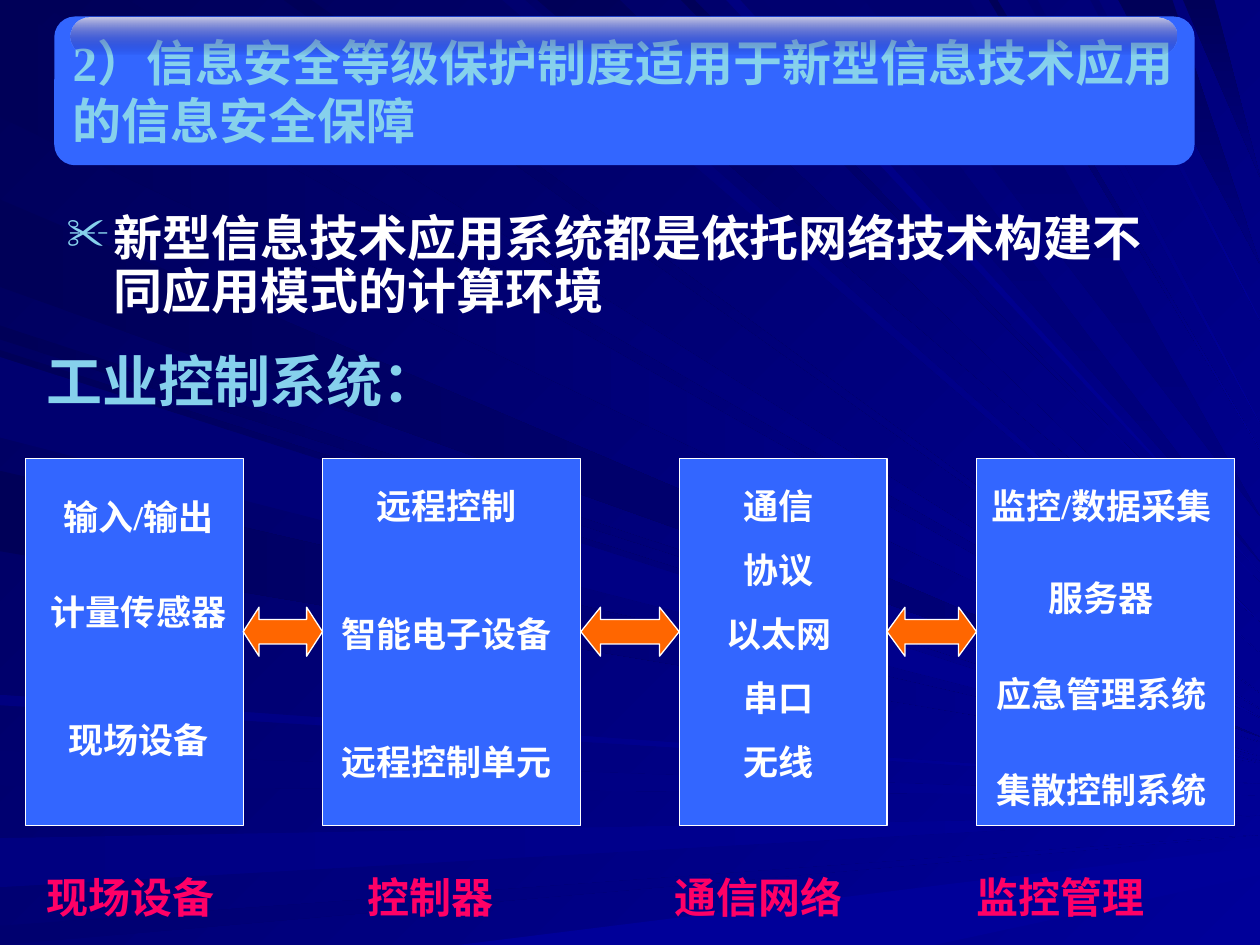
from lxml import etree
from pptx import Presentation
from pptx.dml.color import RGBColor
from pptx.enum.lang import MSO_LANGUAGE_ID
from pptx.enum.shapes import MSO_SHAPE
from pptx.enum.text import MSO_ANCHOR, MSO_AUTO_SIZE, PP_ALIGN
from pptx.oxml.ns import qn
from pptx.util import Pt

RECTANGLE = MSO_SHAPE.RECTANGLE
ROUNDED = MSO_SHAPE.ROUNDED_RECTANGLE
DOUBLE_ARROW = MSO_SHAPE.LEFT_RIGHT_ARROW
LEFT, CENTER = PP_ALIGN.LEFT, PP_ALIGN.CENTER
MIDDLE = MSO_ANCHOR.MIDDLE
FIT_SHAPE = MSO_AUTO_SIZE.SHAPE_TO_FIT_TEXT
CHINESE = MSO_LANGUAGE_ID.SIMPLIFIED_CHINESE

WHITE = RGBColor(0xFF, 0xFF, 0xFF)
SKY = RGBColor(0x86, 0xD1, 0xEC)
BLUE = RGBColor(0x33, 0x66, 0xFF)
ORANGE = RGBColor(0xFF, 0x66, 0x00)
PINK = RGBColor(0xFF, 0x00, 0x66)
LAVENDER = RGBColor(0xC6, 0xC6, 0xE3)
NAVY = RGBColor(0x00, 0x00, 0x80)
BRIGHT = RGBColor(0x00, 0x00, 0x99)
NIGHT = RGBColor(0x00, 0x00, 0x58)
DUSK = RGBColor(0x00, 0x00, 0x6F)

SERIF, SANS = "Times New Roman", "Arial"
PAGE_WIDTH, PAGE_HEIGHT = 720, 540


def paint_gradient(fill, first, last, clockwise_angle):
    fill.gradient()
    fill.gradient_angle = (360 - clockwise_angle) % 360
    for stop, color in zip(fill.gradient_stops, (first, last)):
        stop.color.rgb = color


# Rays from the left edge: top, bottom, height where they meet the right edge
LEFT_RAYS = [
    (1, 67, 410, NIGHT, BRIGHT), (114, 164, 421, NIGHT, NAVY),
    (186, 194, 424, NIGHT, BRIGHT), (200, 246, 432, NIGHT, BRIGHT),
    (269, 315, 436, NIGHT, BRIGHT), (397, 403, 448, NAVY, BRIGHT),
    (429, 449, 455, DUSK, BRIGHT), (479, 507, 466, NAVY, BRIGHT),
    (529, 540, 477, DUSK, BRIGHT), (204, 250, 435, DUSK, BRIGHT),
]
# Rays from the top edge: left, right, height at the right edge
TOP_RAYS = [
    (19, 73, 405, NIGHT, BRIGHT), (162, 178, 396, NIGHT, BRIGHT),
    (287, 300, 373, DUSK, BRIGHT), (307, 354, 355, NIGHT, BRIGHT),
    (389, 397, 333, NIGHT, BRIGHT), (415, 423, 327, NAVY, BRIGHT),
    (436, 476, 321, DUSK, NAVY), (494, 554, 295, DUSK, NAVY),
    (565, 570, 257, NIGHT, BRIGHT), (587, 593, 242, DUSK, BRIGHT),
    (623, 628, 183, DUSK, BRIGHT), (639, 670, 151, NIGHT, NAVY),
    (676, 694, 101, NIGHT, NAVY),
]

# Panel left and width, shift and top of its text, lines with the space before each
PANELS = [
    (14.4, 124.6, 2.5, 279.4, [("输入/输出", 12.5), ("计量传感器", 30.7), ("现场设备", 49)]),
    (184.3, 147.6, -3, 273.6,
     [("远程控制", 12.5), ("智能电子设备", 49), ("远程控制单元", 49)]),
    (388.1, 118.8, -2.5, 273.6,
     [(line, 12.5) for line in ("通信", "协议", "以太网", "串口", "无线")]),
    (558, 147.6, -2.5, 273.6,
     [("监控/数据采集", 12.5), ("服务器", 28.5), ("应急管理系统", 30.7), ("集散控制系统", 30.7)]),
]
PANEL_TOP, PANEL_HEIGHT, PANEL_TEXT_WIDTH = 262.1, 209.5, 164
ARROW_TOP, ARROW_HEIGHT = 347, 28

deck = Presentation()
deck.slide_width, deck.slide_height = Pt(PAGE_WIDTH), Pt(PAGE_HEIGHT)
page = deck.slides.add_slide(deck.slide_layouts[6])
shapes = page.shapes
paint_gradient(page.background.fill, NIGHT, BRIGHT, 45)

rays = [([(0, top), (PAGE_WIDTH, tip), (0, bottom)], first, last, 0)
        for top, bottom, tip, first, last in LEFT_RAYS]
rays.append(([(262, 540), (544, 505), (720, 484), (720, 500), (534, 540)], BRIGHT, BRIGHT, 0))
rays += [([(left, 0), (PAGE_WIDTH, tip), (right, 0)], first, last, 90 if last == NAVY else 45)
         for left, right, tip, first, last in TOP_RAYS]
for corners, first, last, angle in rays:
    builder = shapes.build_freeform(*corners[0], scale=Pt(1))
    builder.add_line_segments(corners[1:], close=True)
    ray = builder.convert_to_shape()
    ray.shadow.inherit = False
    ray.line.fill.background()
    paint_gradient(ray.fill, first, last, angle)

# Panels, the arrows that join them, and the title plate with its gloss
blocks = [(RECTANGLE, left, PANEL_TOP, width, PANEL_HEIGHT, BLUE, WHITE, [])
          for left, width, *_ in PANELS]
for panel, following in zip(PANELS, PANELS[1:]):
    start = panel[0] + panel[1]
    gap = following[0] - start
    blocks.append((DOUBLE_ARROW, start, ARROW_TOP, gap, ARROW_HEIGHT, ORANGE, WHITE,
                   [0.5, 0.2 * gap / ARROW_HEIGHT]))
blocks.append((ROUNDED, 31, 9.4, 651.6, 85, BLUE, None, [0.14]))
blocks.append((ROUNDED, 40.3, 10.1, 632.2, 20.9, None, None, [0.5]))

plates = []
for kind, left, top, width, height, color, edge, adjustments in blocks:
    shape = shapes.add_shape(kind, Pt(left), Pt(top), Pt(width), Pt(height))
    shape.shadow.inherit = False
    for index, value in enumerate(adjustments):
        shape.adjustments[index] = value
    if color is None:
        paint_gradient(shape.fill, LAVENDER, NAVY, 90)
    else:
        shape.fill.solid()
        shape.fill.fore_color.rgb = color
    if edge is None:
        shape.line.fill.background()
    else:
        shape.line.color.rgb = edge
        shape.line.width = Pt(0.75)
    plates.append(shape)
title, gloss = plates[-2:]
title.text_frame.vertical_anchor = MIDDLE
clear_color = gloss.element.spPr.findall(".//" + qn("a:srgbClr"))[-1]
etree.SubElement(clear_color, qn("a:alpha"), val="0")

# Text: box, lines with the space before each, alignment, font, size, colour
texts = [(title, [("2）信息安全等级保护制度适用于新型信息技术应用的信息安全保障", 0)],
          LEFT, SERIF, 28, SKY)]
for left, width, shift, top, lines in PANELS:
    text_left = left + (width - PANEL_TEXT_WIDTH) / 2 + shift
    box = shapes.add_textbox(Pt(text_left), Pt(top), Pt(PANEL_TEXT_WIDTH), Pt(177))
    texts.append((box, lines, CENTER, SERIF, 20, WHITE))
body = shapes.add_textbox(Pt(31), Pt(118.8), Pt(648), Pt(71.3))
heading = shapes.add_textbox(Pt(19.4), Pt(194.4), Pt(332), Pt(46))
captions = shapes.add_textbox(Pt(19.4), Pt(494.6), Pt(680.4), Pt(36))
texts += [
    (body, [("新型信息技术应用系统都是依托网络技术构建不同应用模式的计算环境", 7)],
     LEFT, SANS, 28, WHITE),
    (heading, [("工业控制系统：", 20)], LEFT, SERIF, 32, SKY),
    (captions, [("现场设备\t控制器\t通信网络\t监控管理", 15)], LEFT, SERIF, 24, PINK),
]
for box, lines, alignment, font_name, size, color in texts:
    frame = box.text_frame
    frame.word_wrap = True
    if box not in (title, body):
        frame.auto_size = FIT_SHAPE
    font_format = {"name": font_name, "size": Pt(size), "bold": True, "language_id": CHINESE}
    for index, (line, space) in enumerate(lines):
        para = frame.add_paragraph() if index else frame.paragraphs[0]
        para.alignment = alignment
        para.space_before = Pt(space)
        span = para.add_run()
        span.text = line
        span.font.color.rgb = color
        for name, value in font_format.items():
            setattr(span.font, name, value)

# Scissors bullet with a hanging indent
para = body.text_frame.paragraphs[0]
para.line_spacing = 0.9
settings = para._p.get_or_add_pPr()
settings.set("marL", str(Pt(27)))
settings.set("indent", str(-Pt(27)))
bullet_color = etree.SubElement(settings, qn("a:buClr"))
etree.SubElement(bullet_color, qn("a:srgbClr"), val=str(SKY))
etree.SubElement(settings, qn("a:buSzPct"), val="90000")
etree.SubElement(settings, qn("a:buChar"), char="✂")

# Tab stops that set each caption under its panel
settings = captions.text_frame.paragraphs[0]._p.get_or_add_pPr()
tab_list = etree.SubElement(settings, qn("a:tabLst"))
for stop in (183.5, 359, 531.5):
    etree.SubElement(tab_list, qn("a:tab"), pos=str(Pt(stop)), algn="l")

deck.save("out.pptx")
